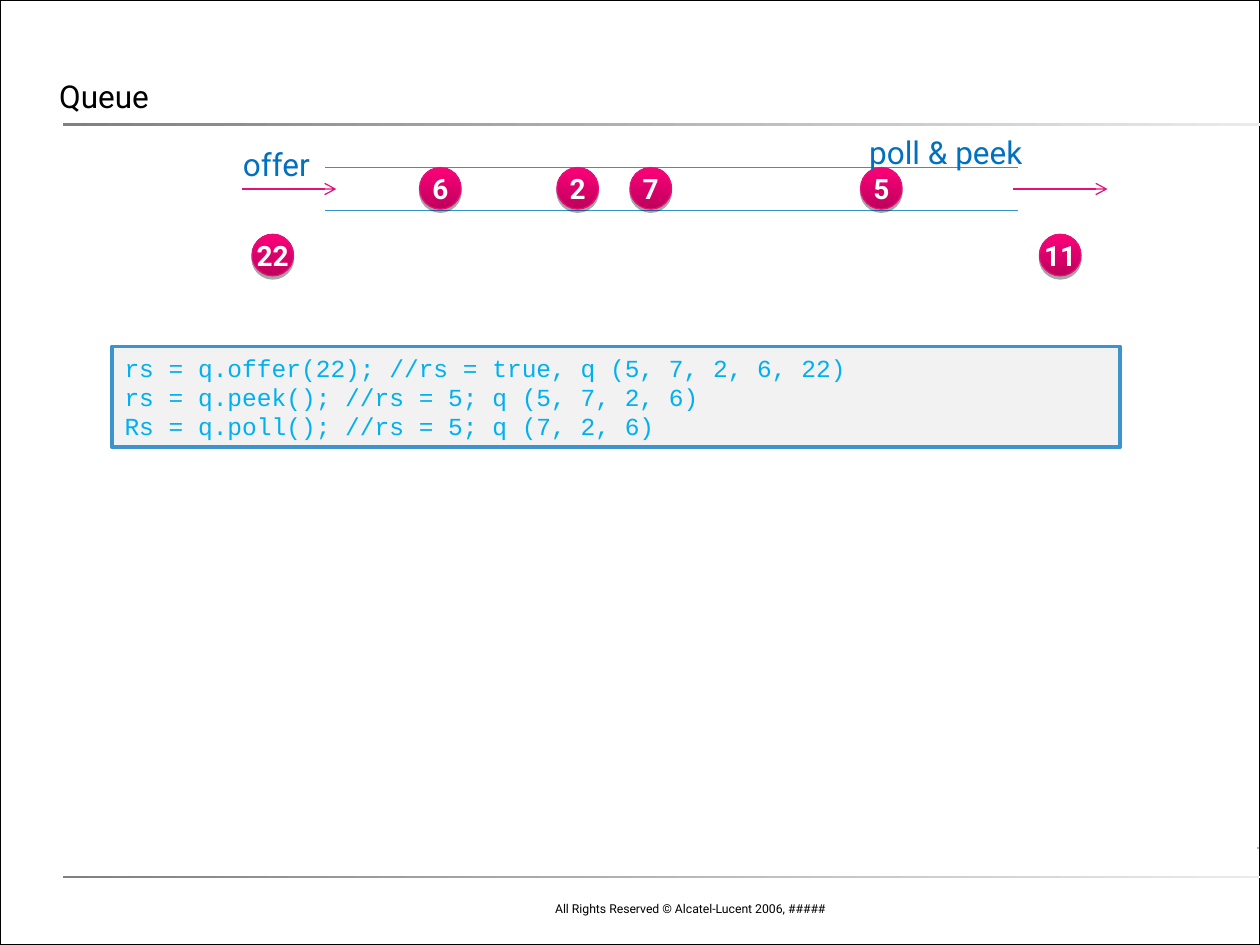
import pptx
import pptx.dml.color
import pptx.enum.shapes
import pptx.enum.text
import pptx.oxml
import pptx.oxml.ns
import pptx.util

Inches, Pt = pptx.util.Inches, pptx.util.Pt
SHAPE = pptx.enum.shapes.MSO_SHAPE
ANCHOR = pptx.enum.text.MSO_ANCHOR
ALIGN = pptx.enum.text.PP_ALIGN
qn = pptx.oxml.ns.qn
NS = pptx.oxml.ns.nsdecls("a")

COLORS = {
    "black": "000000", "white": "FFFFFF",
    "rule_start": "808080", "rule_end": "EBEBEB", "mark_end": "D7D7D7",
    "lane": "3692CB", "pink": "E1137A", "ball_dark": "BD005B", "ball_light": "FD0079",
    "label": "0070C0", "code_fill": "F2F2F2", "code_line": "3B95CC", "code": "00B0F0",
}
BALL = 0.33


def rgb(name):
    return pptx.dml.color.RGBColor.from_string(COLORS[name])


def add_box(s, shape, x, y, w, h):
    sp = s.shapes.add_shape(shape, Inches(x), Inches(y), Inches(w), Inches(h))
    sp.shadow.inherit = False
    return sp


def set_gradient(sp, start, end, angle):
    sp.fill.gradient()
    sp.fill.gradient_angle = angle
    for stop, name in zip(sp.fill.gradient_stops, (start, end)):
        stop.color.rgb = rgb(name)


def set_line(sp, color, width):
    sp.line.color.rgb = rgb(color)
    sp.line.width = Pt(width)


def set_margins(tf, x, y):
    tf.margin_left = tf.margin_right = Inches(x)
    tf.margin_top = tf.margin_bottom = Inches(y)


def add_run(p, text, size, color, font="Roboto", bold=False):
    r = p.add_run()
    r.text = text
    r.font.size = Pt(size)
    r.font.name = font
    r.font.bold = bold
    r.font.color.rgb = rgb(color)


def add_text(s, x, y, w, h, text, size, color, anchor=ANCHOR.TOP, align=ALIGN.LEFT,
             margins=(0.1, 0.05), wrap=True):
    tf = s.shapes.add_textbox(Inches(x), Inches(y), Inches(w), Inches(h)).text_frame
    tf.word_wrap = wrap
    tf.vertical_anchor = anchor
    set_margins(tf, *margins)
    p = tf.paragraphs[0]
    p.alignment = align
    add_run(p, text, size, color)
    return p


def add_rule(s, x, y, w, h, end="rule_end"):
    sp = add_box(s, SHAPE.RECTANGLE, x, y, w, h)
    set_gradient(sp, "rule_start", end, 0)
    sp.line.fill.background()


def add_line(s, x, y, w, color, arrow=False):
    cn = s.shapes.add_connector(pptx.enum.shapes.MSO_CONNECTOR.STRAIGHT,
                                Inches(x), Inches(y), Inches(x + w), Inches(y))
    set_line(cn, color, 0.75)
    if arrow:
        cn.line._get_or_add_ln().append(
            pptx.oxml.parse_xml(f'<a:tailEnd {NS} type="arrow"/>'))
    cn._element.spPr.append(pptx.oxml.parse_xml(f"<a:effectLst {NS}/>"))


def add_ball(s, x, y, text):
    sp = add_box(s, SHAPE.OVAL, x, y, BALL, BALL)
    set_gradient(sp, "ball_dark", "ball_light", 90)
    set_line(sp, "pink", 0.75)
    sp._element.spPr.find(qn("a:effectLst")).append(pptx.oxml.parse_xml(
        f'<a:outerShdw {NS} dist="{Pt(1.8)}" dir="5400000" rotWithShape="0">'
        f'<a:srgbClr val="{COLORS["black"]}"><a:alpha val="35000"/></a:srgbClr>'
        '</a:outerShdw>'))
    tf = sp.text_frame
    tf.word_wrap = False
    tf.vertical_anchor = ANCHOR.MIDDLE
    set_margins(tf, 0, 0)
    p = tf.paragraphs[0]
    p.alignment = ALIGN.CENTER
    add_run(p, text, 16, "white", bold=True)


def add_frame(s, w, h):
    """Page border, rules above and below the body, and the footer."""
    add_rule(s, w - 0.02, 6.72, 0.01, 0.02, "mark_end")
    border = add_box(s, SHAPE.RECTANGLE, 0, 0, w, h)
    border.fill.background()
    set_line(border, "black", 1)
    add_text(s, 3.5, h - 0.43, 3.15, 0.25,
             "All Rights Reserved © Alcatel-Lucent 2006, #####", 7, "black",
             ANCHOR.BOTTOM, ALIGN.RIGHT)
    for y in (6.95, 0.98):
        add_rule(s, 0.5, y, 9.53, 0.02)


def add_title(s, x, y, w, h):
    p = add_text(s, x, y, w, h, "Queue", 18, "black", ANCHOR.BOTTOM, margins=(0, 0))
    p.line_spacing = 1.2


def add_queue(s, x, y, w, h):
    """Two lane lines with balls between them, and the ends where items go in and out."""
    for lane_y in (y, y + h):
        add_line(s, x, lane_y, w, "lane")
    for dx, text in ((1.84, "2"), (2.42, "7"), (4.25, "5"), (0.75, "6")):
        add_ball(s, x + dx, y, text)
    for dx, text in ((-0.58, "22"), (w + 0.17, "11")):
        add_ball(s, x + dx, y + 0.53, text)
    for dx in (-0.66, w - 0.04):
        add_line(s, x + dx, y + h / 2, 0.75, "pink", arrow=True)
    for dx, dy, label_w, text in ((-0.75, -0.23, 0.76, "offer"),
                                  (4.22, -0.32, 1.51, "poll & peek")):
        add_text(s, x + dx, y + dy, label_w, 0.4, text, 18, "label", wrap=False)


def add_code(s, x, y, w, h, lines):
    sp = add_box(s, SHAPE.RECTANGLE, x, y, w, h)
    sp.fill.solid()
    sp.fill.fore_color.rgb = rgb("code_fill")
    set_line(sp, "code_line", 2)
    tf = sp.text_frame
    tf.word_wrap = True
    tf.vertical_anchor = ANCHOR.TOP
    set_margins(tf, 0.1, 0.05)
    for i, line in enumerate(lines):
        p = tf.add_paragraph() if i else tf.paragraphs[0]
        p.alignment = ALIGN.LEFT
        add_run(p, line, 14, "code", "Courier New")


def main():
    prs = pptx.Presentation()
    prs.slide_width, prs.slide_height = Inches(10), Inches(7.5)
    s = prs.slides.add_slide(prs.slide_layouts[6])
    add_frame(s, 10, 7.5)
    add_title(s, 0.47, 0.08, 9.06, 0.83)
    add_queue(s, 2.58, 1.33, 5.5, 0.34)
    add_code(s, 0.89, 2.75, 8, 0.8, (
        "rs = q.offer(22); //rs = true, q (5, 7, 2, 6, 22)",
        "rs = q.peek(); //rs = 5; q (5, 7, 2, 6)",
        "Rs = q.poll(); //rs = 5; q (7, 2, 6)",
    ))
    prs.save("out.pptx")


if __name__ == "__main__":
    main()
